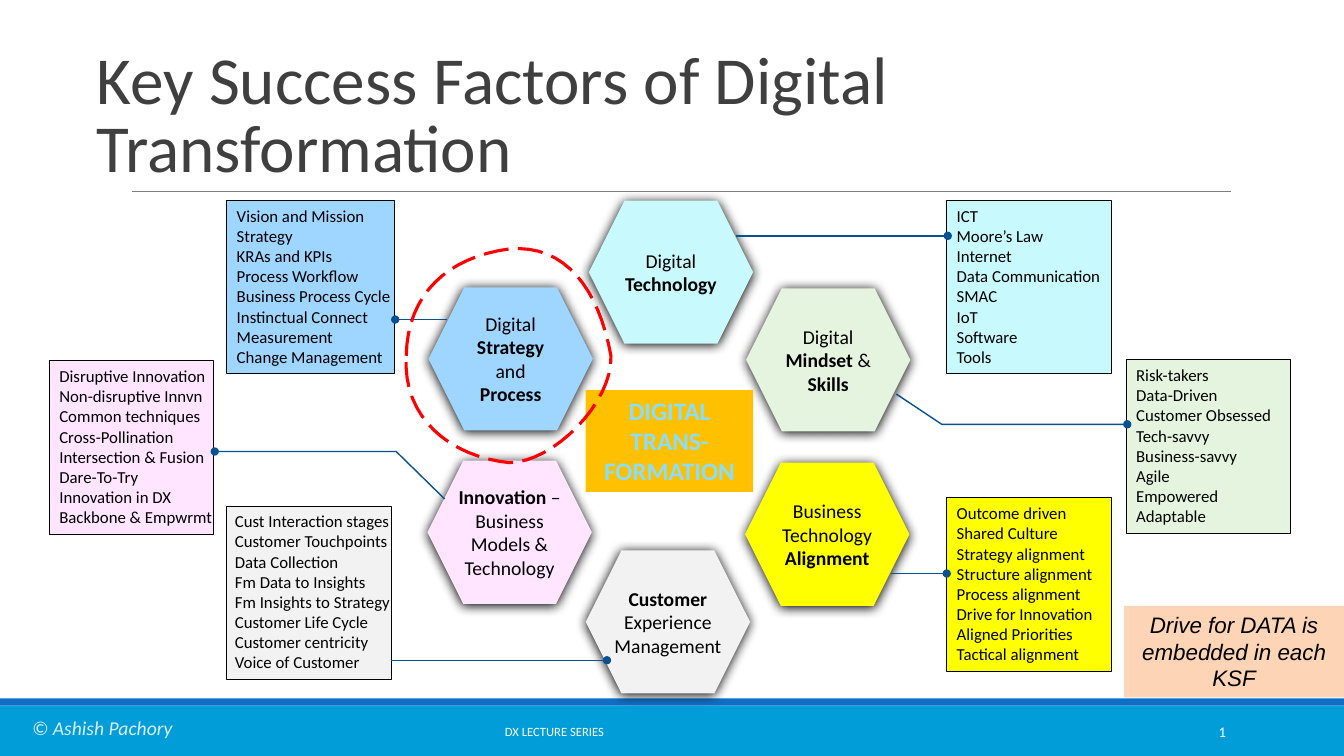
import pptx
import pptx.util
import pptx.dml.color
import pptx.enum.dml
import pptx.enum.shapes
import pptx.enum.text
import pptx.oxml
import pptx.oxml.ns

Inches = pptx.util.Inches
SHAPE = pptx.enum.shapes.MSO_SHAPE
ALIGN = pptx.enum.text.PP_ALIGN
ANCHOR = pptx.enum.text.MSO_ANCHOR

# Content: bold words stand between asterisks
TITLE = "Key Success Factors of Digital Transformation"
CENTRE = "DIGITAL TRANS-FORMATION"
DATA_NOTE = "Drive for DATA is embedded in each KSF"
SERIES = "DX LECTURE SERIES"
AUTHOR = "© Ashish Pachory"

# Each factor: colour, hexagon (left, top, side inset, text), box (left, top, width,
# left inset, right inset, lines) and the points of its leader, which ends in a dot
FACTORS = [
    ("C8F9FC", (5.84, 1.99, 0, "Digital *Technology*"),
     (9.39, 1.99, 1.63, 0.1, 0.1, ["ICT", "Moore’s Law", "Internet", "Data Communication",
                                   "SMAC", "IoT", "Software", "Tools"]),
     [(7.3, 2.34), (9.4, 2.34)]),
    ("E4F4DE", (7.4, 2.86, 0.1, "Digital *Mindset* & *Skills*"),
     (11.17, 3.57, 1.63, 0.1, 0.1, ["Risk-takers", "Data-Driven", "Customer Obsessed", "Tech-savvy",
                                    "Business-savvy", "Agile", "Empowered", "Adaptable"]),
     [(8.89, 3.91), (9.34, 4.21), (11.18, 4.21)]),
    ("FFFF00", (7.39, 4.59, 0.1, "Business Technology *Alignment*"),
     (9.39, 4.94, 1.63, 0.1, 0.1, ["Outcome driven", "Shared Culture", "Strategy alignment",
                                   "Structure alignment", "Process alignment", "Drive for Innovation",
                                   "Aligned Priorities", "Tactical alignment"]),
     [(8.84, 5.69), (9.39, 5.69)]),
    ("F2F2F2", (5.81, 5.46, 0, "*Customer* Experience Management"),
     (2.25, 5.02, 1.63, 0.08, 0, ["Cust Interaction stages", "Customer Touchpoints", "Data Collection",
                                  "Fm Data to Insights", "Fm Insights to Strategy",
                                  "Customer Life Cycle", "Customer centricity", "Voice of Customer"]),
     [(3.88, 6.55), (6.02, 6.55)]),
    ("FFE5FF", (4.24, 4.57, 0, "*Innovation* –Business Models &\nTechnology"),
     (0.49, 3.58, 1.63, 0.1, 0, ["Disruptive Innovation", "Non-disruptive Innvn", "Common techniques",
                                 "Cross-Pollination", "Intersection & Fusion", "Dare-To-Try",
                                 "Innovation in DX", "Backbone & Empwrmt"]),
     [(4.41, 4.95), (3.93, 4.48), (2.13, 4.48)]),
    ("9FD6FF", (4.25, 2.85, 0.1, "Digital *Strategy *and *Process*"),
     (2.25, 1.99, 1.66, 0.1, 0, ["Vision and Mission", "Strategy", "KRAs and KPIs", "Process Workflow",
                                 "Business Process Cycle", "Instinctual Connect", "Measurement",
                                 "Change Management"]),
     [(4.43, 3.17), (3.92, 3.17)]),
]
HEXAGON_SIZE = (1.63, 1.42)
BOX_HEIGHT = 1.72

# Highlight ring: start point, then Bezier segments of two controls and an end
RING_START = (4.03, 3.53)
RING = [((4.04, 2.91), (4.45, 2.55), (5.05, 2.47)), ((5.61, 2.42), (5.94, 2.87), (6.06, 3.53)),
        ((6.08, 3.99), (5.49, 4.59), (5.05, 4.59)), ((4.47, 4.53), (3.99, 4.15), (4.03, 3.53))]
RING_STEPS = 16

THEME = {
    "font": "Calibri", "note_font": "Arial",
    "text": "000000", "title": "3F3F3F", "light": "FFFFFF", "author": "DBEFF9",
    "band": "009DD9", "stripe": "0F6FC6", "rule": "7F7F7F", "leader": "0A5190",
    "ring": "FF0000", "centre": "FFC000", "centre_text": "89DEFE", "note": "FDD4B5",
    "title_size": 48, "centre_size": 18, "note_size": 16, "hexagon_size": 14,
    "author_size": 14, "box_size": 12, "number_size": 10.5, "footer_size": 9,
}


def rgb(colour):
    return pptx.dml.color.RGBColor.from_string(colour)


def style_font(font, size, colour, name=THEME["font"], italic=False):
    font.size, font.name, font.italic = pptx.util.Pt(size), name, italic
    font.color.rgb = rgb(colour)


def write(shape, text, size, colour=THEME["text"], align=ALIGN.LEFT, anchor=ANCHOR.TOP,
          left=0.1, right=0.1, bold=False, **font):
    frame = shape.text_frame
    frame.word_wrap = True
    frame.auto_size = pptx.enum.text.MSO_AUTO_SIZE.NONE
    frame.vertical_anchor = anchor
    frame.margin_left, frame.margin_right = Inches(left), Inches(right)
    frame.margin_top = frame.margin_bottom = Inches(0.05)
    for number, line in enumerate(text.split("\n")):
        para = frame.add_paragraph() if number else frame.paragraphs[0]
        para.alignment = align
        for index, part in enumerate(line.split("*")):
            if part:
                span = para.add_run()
                span.text = part
                style_font(span.font, size, colour, **font)
                span.font.bold = bold or index % 2 == 1


def add_block(page, kind, left, top, width, height, fill, line=None):
    block = page.shapes.add_shape(kind, Inches(left), Inches(top), Inches(width), Inches(height))
    block.shadow.inherit = False
    block.fill.solid()
    block.fill.fore_color.rgb = rgb(fill)
    if line:
        block.line.color.rgb = rgb(line)
        block.line.width = pptx.util.Pt(0.75)
    else:
        block.line.fill.background()
    return block


def add_label(page, left, top, width, height, *args, **options):
    label = page.shapes.add_textbox(Inches(left), Inches(top), Inches(width), Inches(height))
    write(label, *args, **options)
    return label


def add_glow(shape):
    effects = shape._element.spPr.find(pptx.oxml.ns.qn("a:effectLst"))
    effects.append(pptx.oxml.parse_xml(
        f'<a:outerShdw {pptx.oxml.ns.nsdecls("a")} blurRad="107950" dist="12700" dir="5400000" '
        'algn="ctr" rotWithShape="0"><a:srgbClr val="000000"/></a:outerShdw>'))


def add_line(page, points, colour, width):
    """Straight connector for two points, open or closed freeform for more."""
    points = [(Inches(x), Inches(y)) for x, y in points]
    if len(points) == 2:
        line = page.shapes.add_connector(pptx.enum.shapes.MSO_CONNECTOR.STRAIGHT, *points[0], *points[1])
    else:
        builder = page.shapes.build_freeform(*points[0])
        builder.add_line_segments(points[1:], close=points[0] == points[-1])
        line = builder.convert_to_shape()
        line.fill.background()
    line.line.color.rgb = rgb(colour)
    line.line.width = pptx.util.Pt(width)
    if len(points) == 2:
        pptx.oxml.ns.qn("a:effectLst")
        line._element.spPr.append(pptx.oxml.parse_xml(f'<a:effectLst {pptx.oxml.ns.nsdecls("a")}/>'))
    else:
        line.shadow.inherit = False
    return line


def add_end_dot(line):
    line.line._get_or_add_ln().append(
        pptx.oxml.parse_xml(f'<a:tailEnd {pptx.oxml.ns.nsdecls("a")} type="oval"/>'))


def ring_points():
    points, start = [RING_START], RING_START
    for first, second, end in RING:
        for step in range(1, RING_STEPS + 1):
            t = step / RING_STEPS
            u = 1 - t
            points.append(tuple(
                round(u**3 * a + 3 * u * u * t * b + 3 * u * t * t * c + t**3 * d, 4)
                for a, b, c, d in zip(start, first, second, end)))
        start = end
    return points


def main():
    deck = pptx.Presentation()
    deck.slide_width, deck.slide_height = Inches(13.33), Inches(7.5)
    page = deck.slides.add_slide(deck.slide_layouts[5])

    # Footer bands, title and rule
    add_block(page, SHAPE.RECTANGLE, 0, 7, 13.33, 0.5, THEME["band"])
    add_block(page, SHAPE.RECTANGLE, 0, 6.93, 13.33, 0.07, THEME["stripe"])
    add_line(page, [(1.31, 1.9), (12.21, 1.9)], THEME["rule"], 0.75)
    title = page.shapes.title
    title.left, title.top, title.width, title.height = map(Inches, (0.86, 0.31, 12.02, 1.59))
    write(title, TITLE, THEME["title_size"], THEME["title"], anchor=ANCHOR.BOTTOM)
    title.text_frame.paragraphs[0].line_spacing = 0.85

    # Footer texts and slide number field
    add_label(page, 4.91, 7.06, 2, 0.4, SERIES, THEME["footer_size"], THEME["light"], anchor=ANCHOR.MIDDLE)
    number = add_label(page, 10.83, 7.06, 1.43, 0.4, "1", THEME["number_size"], THEME["light"],
                       align=ALIGN.RIGHT, anchor=ANCHOR.MIDDLE)
    span = number.text_frame.paragraphs[0].runs[0]._r
    span.tag = pptx.oxml.ns.qn("a:fld")
    span.set("id", "{B6F15528-21DE-4FAA-801E-634DDDAF4B2B}")
    span.set("type", "slidenum")
    add_label(page, 0.22, 7.05, 2.1, 0.34, AUTHOR, THEME["author_size"], THEME["author"], italic=True)

    # Hexagons
    for colour, (left, top, inset, text), _, _ in FACTORS:
        hexagon = add_block(page, SHAPE.HEXAGON, left, top, *HEXAGON_SIZE, colour)
        add_glow(hexagon)
        write(hexagon, text, THEME["hexagon_size"], align=ALIGN.CENTER, anchor=ANCHOR.MIDDLE,
              left=inset, right=inset)

    # Detail boxes with leaders
    for colour, _, (left, top, width, inset, right, lines), points in FACTORS:
        box = add_block(page, SHAPE.RECTANGLE, left, top, width, BOX_HEIGHT, colour, THEME["text"])
        write(box, "\n".join(lines), THEME["box_size"], left=inset, right=right)
        add_end_dot(add_line(page, points, THEME["leader"], 1))

    # Centre label, note and highlight ring
    note = add_block(page, SHAPE.RECTANGLE, 11.15, 6.01, 2.18, 0.91, THEME["note"])
    write(note, DATA_NOTE, THEME["note_size"], align=ALIGN.CENTER, name=THEME["note_font"], italic=True)
    centre = add_block(page, SHAPE.RECTANGLE, 5.81, 3.87, 1.66, 1.01, THEME["centre"])
    write(centre, CENTRE, THEME["centre_size"], THEME["centre_text"], align=ALIGN.CENTER, bold=True)
    ring = add_line(page, ring_points(), THEME["ring"], 2.25)
    ring.line.dash_style = pptx.enum.dml.MSO_LINE.LONG_DASH

    deck.save("out.pptx")


if __name__ == "__main__":
    main()
